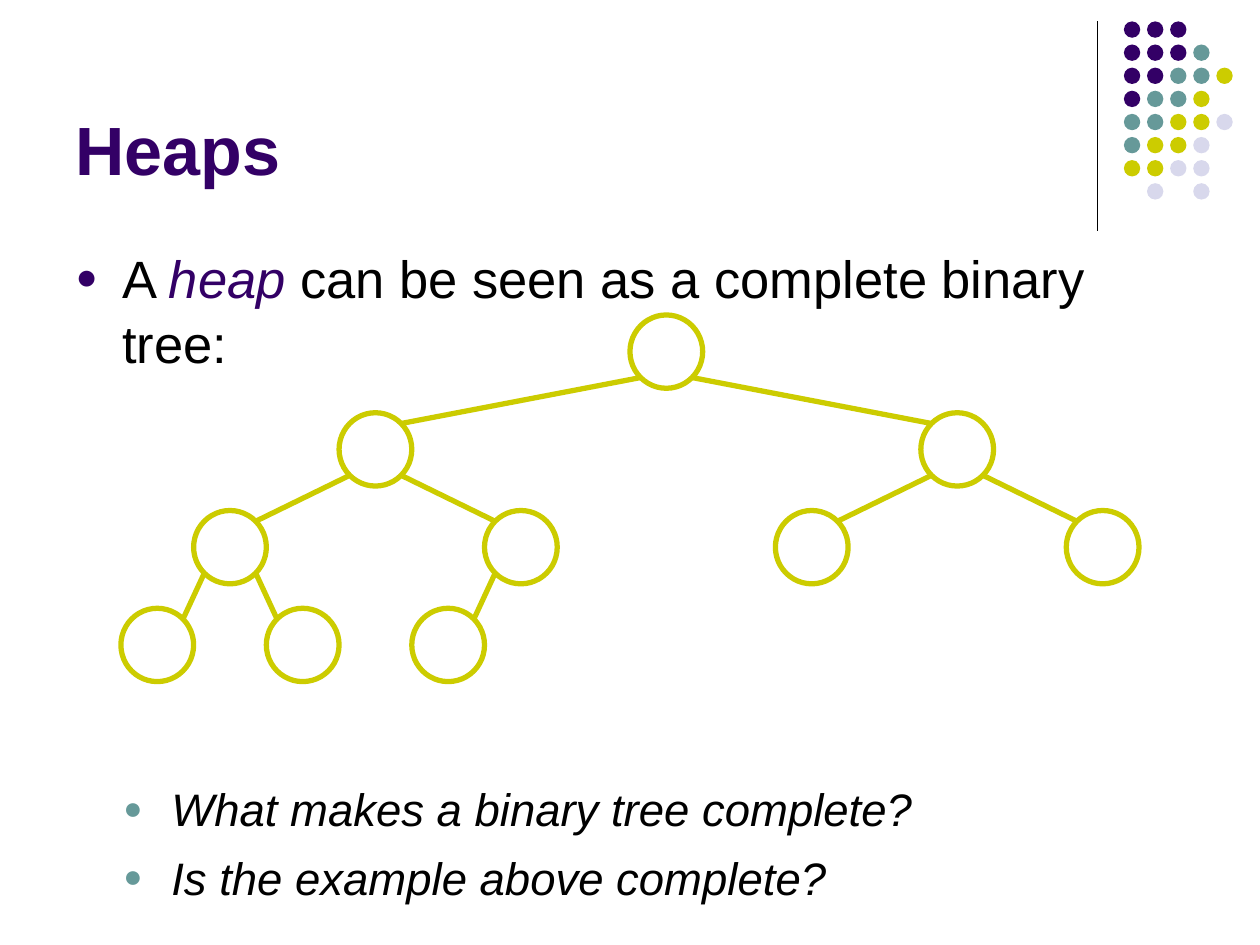
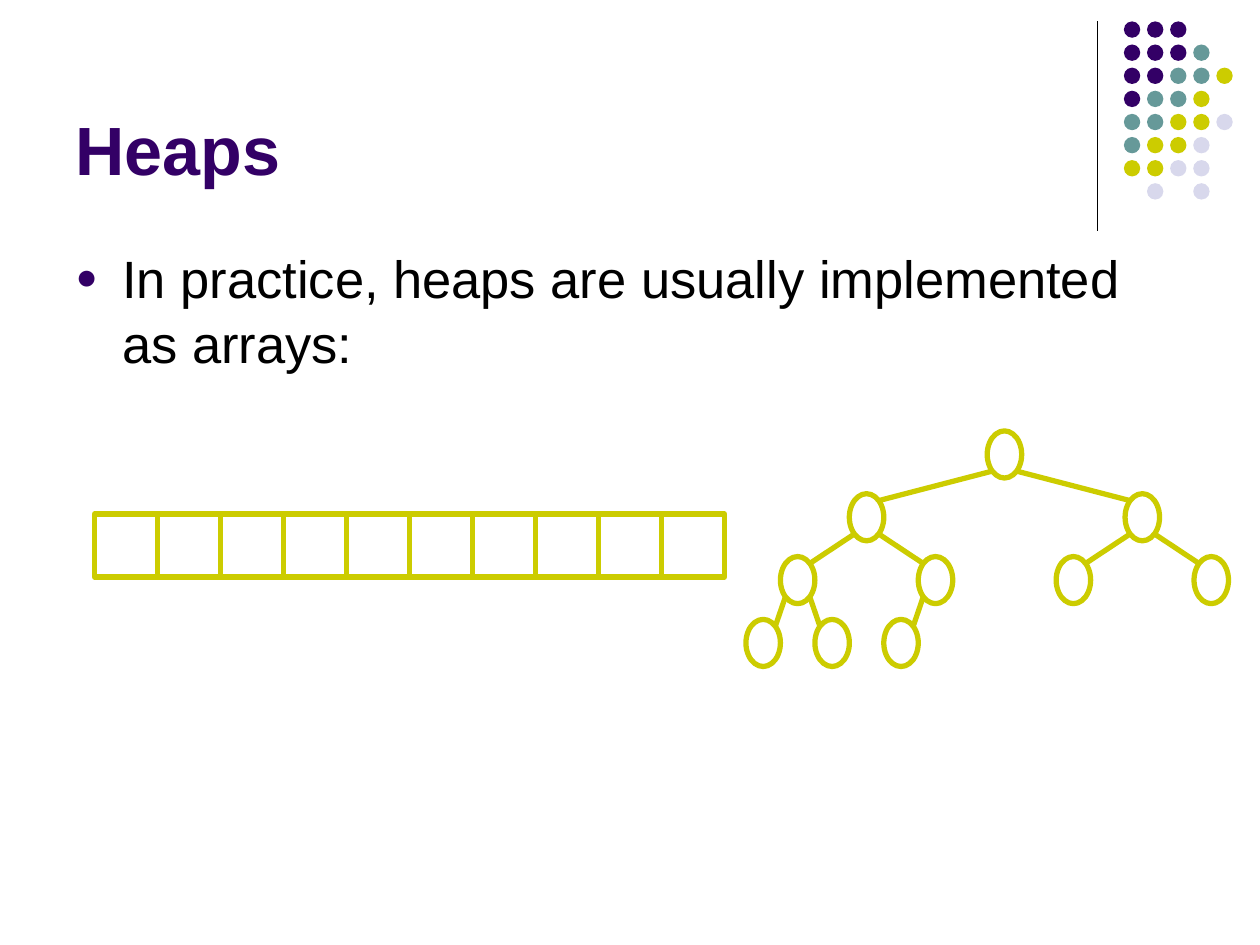
from dataclasses import dataclass

from lxml import etree
from pptx import Presentation
from pptx import util as u
from pptx.dml.color import RGBColor
from pptx.enum import shapes, text
from pptx.oxml import ns


@dataclass(frozen=True)
class Theme:
    purple = RGBColor.from_string("330066")
    teal = RGBColor.from_string("669999")
    olive = RGBColor.from_string("CCCC00")
    lilac = RGBColor.from_string("D8D8EC")
    black = RGBColor.from_string("000000")
    white = RGBColor.from_string("FFFFFF")
    font = "Arial"
    title_size = 39
    body_sizes = (30, 26)
    body_gaps = (7.5, 6.5)
    body_indents = (0.37, 0.38)
    body_margins = (0.37, 0.76)
    bullet_colors = (purple, teal)
    diagram_line = 3


theme = Theme()


def outlined(parent, preset, left, top, width, height, fill, line=None):
    """Add a flat preset shape, measured in inches, with an optional outline."""
    shape = parent.add_shape(preset, *map(u.Inches, (left, top, width, height)))
    shape.shadow.inherit = False
    shape.fill.solid()
    shape.fill.fore_color.rgb = fill
    if line is None:
        shape.line.fill.background()
    else:
        shape.line.color.rgb = line
        shape.line.width = u.Pt(theme.diagram_line)


def straight(parent, start, end, color, weight):
    """Add a flat straight line between two points given in inches."""
    line = parent.add_connector(shapes.MSO_CONNECTOR.STRAIGHT, *map(u.Inches, (*start, *end)))
    line.line.color.rgb = color
    line.line.width = u.Pt(weight)
    etree.SubElement(line.element.spPr, ns.qn("a:effectLst"))
    return line


prs = Presentation()
prs.slide_width, prs.slide_height = u.Inches(10), u.Inches(7.5)
layout = prs.slide_layouts[1]

# Each slide: its body height, then paragraphs of
# (level, extra space before in points, runs of (wording, color, italic)).
contents = [
    (4.82, [
        (0, 0, [("A ", theme.black, False), ("heap", theme.purple, True),
                (" can be seen as a complete binary tree:", theme.black, False)]),
        (1, 225, [("What makes a binary tree complete?", theme.black, True)]),
        (1, 0, [("Is the example above complete?", theme.black, True)]),
    ]),
    (1.12, [
        (0, 0, [("In practice, heaps are usually implemented as arrays:", theme.black, False)]),
    ]),
]

slides = []
for body_height, paragraphs in contents:
    slide = prs.slides.add_slide(layout)
    slides.append(slide)

    title = slide.shapes.title
    title.left, title.top, title.width, title.height = map(u.Inches, (0.5, 0.13, 8.25, 1.42))
    title.text_frame.vertical_anchor = text.MSO_ANCHOR.BOTTOM
    title.text_frame.auto_size = text.MSO_AUTO_SIZE.NONE
    heading = title.text_frame.paragraphs[0]
    heading.alignment = text.PP_ALIGN.LEFT
    run = heading.add_run()
    run.text = "Heaps"
    run.font.name, run.font.size, run.font.bold = theme.font, u.Pt(theme.title_size), True
    run.font.color.rgb = theme.purple

    body = slide.placeholders[1]
    body.left, body.top, body.width, body.height = map(u.Inches, (0.5, 1.88, 9, body_height))
    body.text_frame.auto_size = text.MSO_AUTO_SIZE.NONE
    for number, (level, extra_gap, runs) in enumerate(paragraphs):
        point = body.text_frame.add_paragraph() if number else body.text_frame.paragraphs[0]
        point.level = level
        point.line_spacing = 1.04
        point.space_before = u.Pt(theme.body_gaps[level] + extra_gap)
        props = point._p.get_or_add_pPr()
        props.set("marL", str(u.Inches(theme.body_margins[level])))
        props.set("indent", str(-u.Inches(theme.body_indents[level])))
        bullet_color = etree.SubElement(props, ns.qn("a:buClr"))
        etree.SubElement(bullet_color, ns.qn("a:srgbClr"), val=str(theme.bullet_colors[level]))
        etree.SubElement(props, ns.qn("a:buSzPct"), val="70000")
        etree.SubElement(props, ns.qn("a:buFont"), typeface=theme.font)
        etree.SubElement(props, ns.qn("a:buChar"), char="●")
        for wording, color, italic in runs:
            run = point.add_run()
            run.text = wording
            run.font.name, run.font.size = theme.font, u.Pt(theme.body_sizes[level])
            run.font.color.rgb, run.font.italic = color, italic

# Corner decoration, moved to the layout so that both slides share it
dot_colors = {"P": theme.purple, "T": theme.teal, "Y": theme.olive, "L": theme.lilac}
dot_rows = ["PPP", "PPPT", "PPTTY", "PTTY", "TTYYL", "TYYL", "YYLL", ".L.L"]
dot_pitch, dot_size = 0.1835, 0.13
divider = straight(slides[0].shapes, (8.71, 0.17), (8.71, 1.83), theme.black, 0.75)
dots = slides[0].shapes.add_group_shape()
for row, letters in enumerate(dot_rows):
    for column, letter in enumerate(letters):
        if letter in dot_colors:
            outlined(dots.shapes, shapes.MSO_SHAPE.OVAL, 8.92 + column * dot_pitch,
                     0.17 + row * dot_pitch, dot_size, dot_size, dot_colors[letter])
for decoration in (divider, dots):
    layout.shapes.element.append(decoration.element)

# Heap trees: node n has the children 2n and 2n + 1.
# The grid has 14 columns one node wide, and rows of which a node fills 3/4.
node_count, deepest = 10, 3
corner = 0.5 ** 0.5 / 2
tree_areas = [(0.96, 2.5, 8.08, 2.91), (5.92, 3.42, 3.83, 1.87)]
for slide, (left, top, width, height) in zip(slides, tree_areas):
    tree = slide.shapes.add_group_shape().shapes
    node_width, row_pitch = width / 14, height / 3.75
    node_height = 0.75 * row_pitch
    centers = {}
    for node in range(1, node_count + 1):
        depth = node.bit_length() - 1
        place = node - 2 ** depth
        column = (2 * place + 1) * 2 ** (deepest - depth) - 1
        x, y = left + column * node_width, top + depth * row_pitch
        centers[node] = x + node_width / 2, y + node_height / 2
        outlined(tree, shapes.MSO_SHAPE.OVAL, x, y, node_width, node_height,
                 theme.white, theme.olive)
    for child in range(2, node_count + 1):
        (parent_x, parent_y), (child_x, child_y) = centers[child // 2], centers[child]
        side = 1 if child % 2 else -1
        dx, dy = side * corner * node_width, corner * node_height
        straight(tree, (parent_x + dx, parent_y + dy), (child_x - dx, child_y - dy),
                 theme.olive, theme.diagram_line)

# Array cells, one for each node
cell = 0.5
for index in range(node_count):
    outlined(slides[1].shapes, shapes.MSO_SHAPE.RECTANGLE, 0.75 + index * cell, 4.08,
             cell, cell, theme.white, theme.olive)

prs.save("out.pptx")
